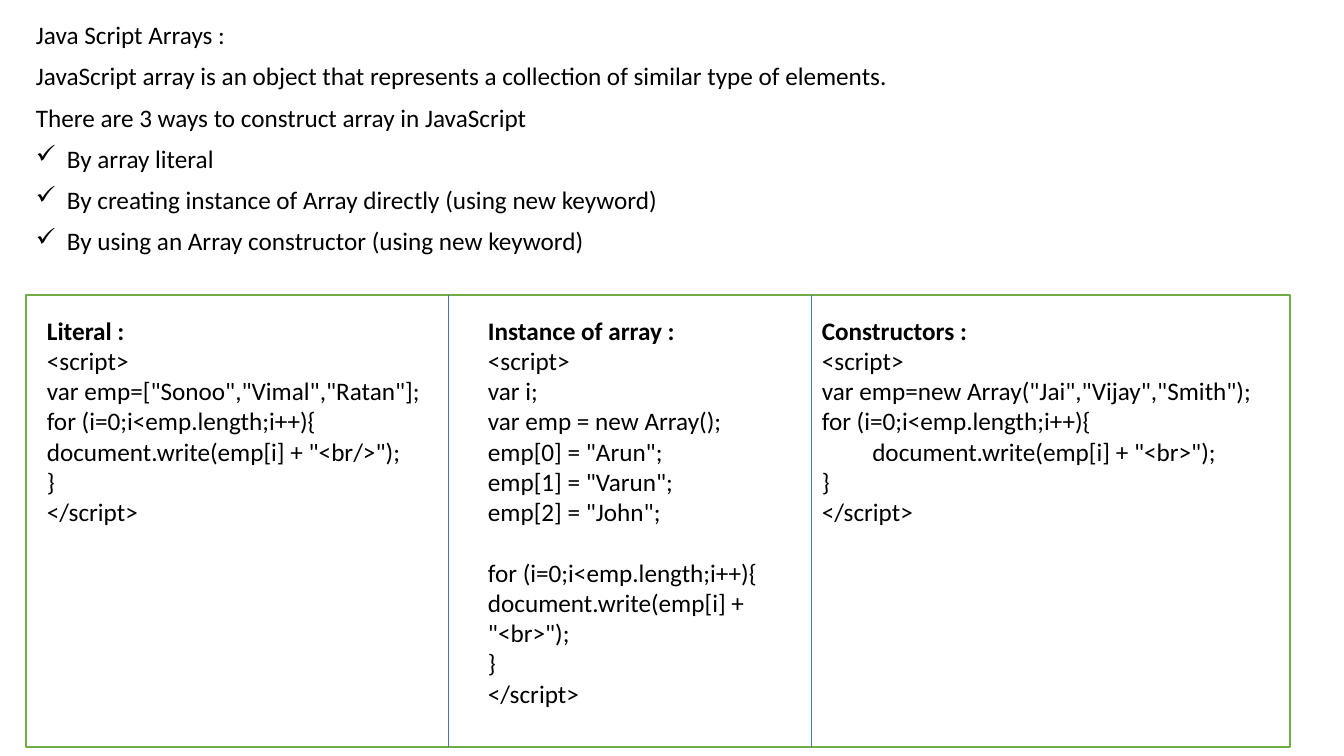
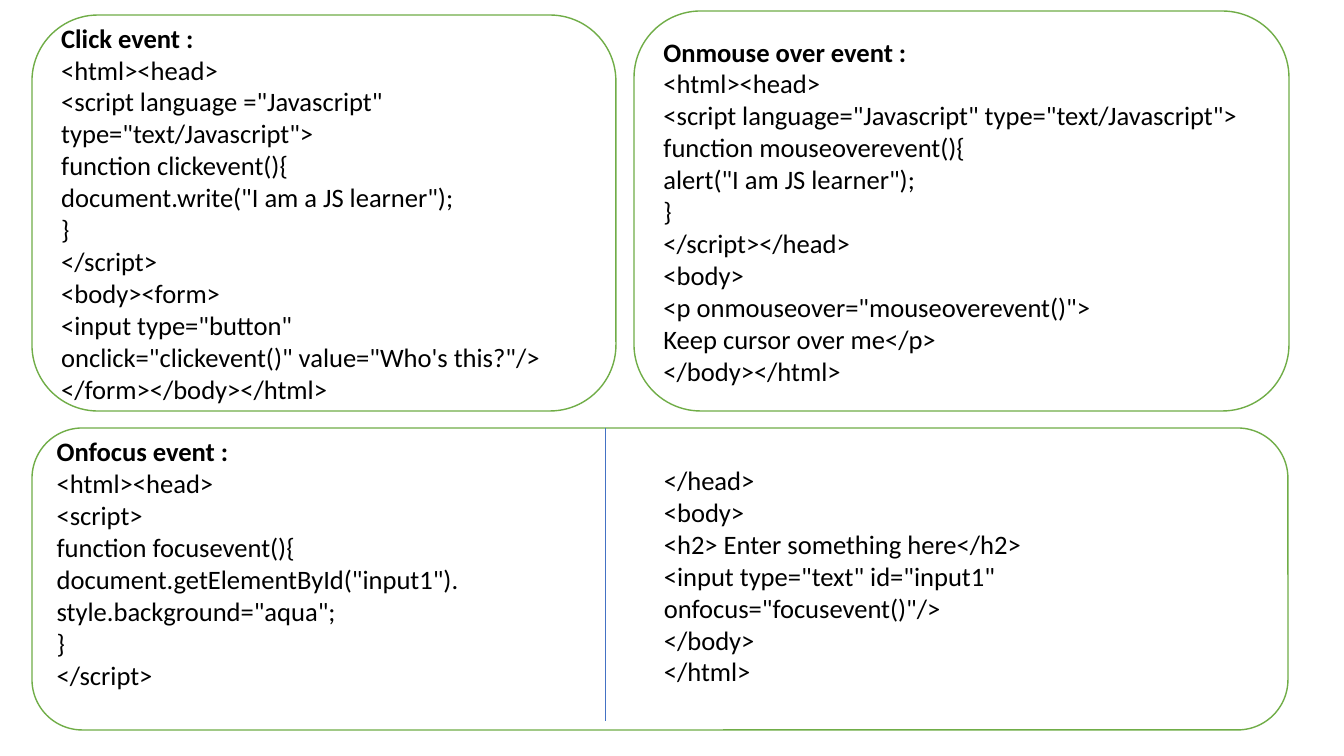
from dataclasses import dataclass

from lxml import etree
from pptx import Presentation
from pptx.dml.color import RGBColor
from pptx.enum.shapes import MSO_CONNECTOR, MSO_SHAPE
from pptx.enum.text import MSO_ANCHOR, MSO_AUTO_SIZE, PP_ALIGN
from pptx.oxml.ns import qn
from pptx.util import Emu, Pt

RECT = MSO_SHAPE.RECTANGLE
ROUNDED = MSO_SHAPE.ROUNDED_RECTANGLE
STRAIGHT = MSO_CONNECTOR.STRAIGHT
MIDDLE = MSO_ANCHOR.MIDDLE
GROW = MSO_AUTO_SIZE.SHAPE_TO_FIT_TEXT
LEFT = PP_ALIGN.LEFT

# Shared style
COLORS = {"text": "000000", "panel": "FFFFFF", "border": "70AD47", "divider": "4472C4"}
FONT = "Calibri"
ARRAY_SIZE, EVENT_SIZE = 18, 19
LINE_HEIGHT = 1.2
BULLET = "\u2713"
BULLET_INDENT = 31


def px(n: int) -> Emu:
    return Emu(round(n * 914400 / 100.8))


def color(name: str) -> RGBColor:
    return RGBColor.from_string(COLORS[name])


@dataclass
class Box:
    x: int
    y: int
    w: int
    h: int


@dataclass
class Listing:
    """Code under an optional bold heading; an empty line becomes a gap."""
    box: Box
    heading: str
    code: str
    bottom: int = 5


@dataclass
class Divider:
    x: int
    top: int
    bottom: int


# Drawing functions
def style(p, size: int, bold: bool = False) -> None:
    p.alignment = LEFT
    for r in p.runs:
        r.font.name = FONT
        r.font.size = Pt(size)
        r.font.bold = bold
        r.font.color.rgb = color("text")


def add_panel(slide, shape: int, box: Box):
    sp = slide.shapes.add_shape(shape, px(box.x), px(box.y), px(box.w), px(box.h))
    sp.shadow.inherit = False
    sp.fill.solid()
    sp.fill.fore_color.rgb = color("panel")
    sp.line.color.rgb = color("border")
    sp.line.width = Pt(1)
    return sp


def add_text_box(slide, box: Box):
    sp = slide.shapes.add_textbox(px(box.x), px(box.y), px(box.w), px(box.h))
    sp.text_frame.word_wrap = True
    return sp.text_frame


def add_divider(slide, d: Divider) -> None:
    line = slide.shapes.add_connector(STRAIGHT, px(d.x), px(d.top), px(d.x), px(d.bottom))
    line.line.color.rgb = color("divider")
    line.line.width = Pt(0.5)
    etree.SubElement(line._element.spPr, qn("a:effectLst"))


def write_listing(tf, listing: Listing, size: int) -> None:
    tf.margin_bottom = px(listing.bottom)
    p = tf.paragraphs[0]
    started = False
    if listing.heading:
        p.text = listing.heading
        style(p, size, bold=True)
        started = True
    gap = 0
    for line in listing.code.strip().split("\n"):
        if not line:
            gap += size * LINE_HEIGHT
            continue
        p = tf.add_paragraph() if started else p
        started = True
        p.text = line
        style(p, size)
        if gap:
            p.space_before = Pt(gap)
            gap = 0


def write_intro(tf, lines: list[str], points: list[str]) -> None:
    for i, line in enumerate(lines + points):
        p = tf.add_paragraph() if i else tf.paragraphs[0]
        p.text = line
        style(p, ARRAY_SIZE)
        p.line_spacing = 0.9
        p.space_before = Pt(10)
        if i >= len(lines):
            pPr = p._p.get_or_add_pPr()
            pPr.set("marL", str(px(BULLET_INDENT)))
            pPr.set("indent", str(-px(BULLET_INDENT)))
            etree.SubElement(pPr, qn("a:buChar")).set("char", BULLET)


# Slide 1: arrays
INTRO = Box(26, 18, 1300, 717)
INTRO_LINES = [
    "Java Script Arrays :",
    "JavaScript array is an object that represents a collection of similar type of elements.",
    "There are 3 ways to construct array in JavaScript",
]
INTRO_POINTS = [
    "By array literal",
    "By creating instance of Array directly (using new keyword)",
    "By using an Array constructor (using new keyword)",
]
ARRAY_PANEL = Box(26, 295, 1264, 452)
ARRAY_DIVIDERS = [Divider(x, 295, 747) for x in (448, 811)]
ARRAY_TOP = 310
ARRAY_LISTINGS = [
    Listing(Box(37, ARRAY_TOP, 407, 224), "Literal :", """
<script>
var emp=["Sonoo","Vimal","Ratan"];
for (i=0;i<emp.length;i++){
document.write(emp[i] + "<br/>");
}
</script>
"""),
    Listing(Box(478, ARRAY_TOP, 351, 407), "Instance of array :", """
<script>
var i;
var emp = new Array();
emp[0] = "Arun";
emp[1] = "Varun";
emp[2] = "John";

for (i=0;i<emp.length;i++){
document.write(emp[i] + "<br>");
}
</script>
"""),
    Listing(Box(812, ARRAY_TOP, 479, 224), "Constructors :", """
<script>
var emp=new Array("Jai","Vijay","Smith");
for (i=0;i<emp.length;i++){
\tdocument.write(emp[i] + "<br>");
}
</script>
"""),
]

# Slide 2: events
EVENT_PANELS = [
    Listing(Box(32, 15, 584, 396), "Click event :", """
<html><head>
<script language ="Javascript" type="text/Javascript">
function clickevent(){
document.write("I am a JS learner");
}
</script>
<body><form>
<input type="button"
onclick="clickevent()" value="Who's this?"/>
</form></body></html>
"""),
    Listing(Box(634, 11, 655, 400), "Onmouse over event :", """
<html><head>
<script language="Javascript" type="text/Javascript">
function mouseoverevent(){
alert("I am JS learner");
}
</script></head>
<body>
<p onmouseover="mouseoverevent()">
Keep cursor over me</p>
</body></html>
"""),
    Listing(Box(32, 428, 1256, 302), "Onfocus event :", """
<html><head>
<script>
function focusevent(){
document.getElementById("input1").
style.background="aqua";
}
</script>
""", bottom=37),
]
FOCUS_DIVIDER = Divider(605, 428, 721)
FOCUS_BODY = Listing(Box(654, 459, 484, 236), "", """
</head>
<body>
<h2> Enter something here</h2>
<input type="text" id="input1"
onfocus="focusevent()"/>
</body>
</html>
""")


def add_code_box(slide, listing: Listing, size: int) -> None:
    tf = add_text_box(slide, listing.box)
    tf.auto_size = GROW
    write_listing(tf, listing, size)


def build_arrays(slide) -> None:
    write_intro(add_text_box(slide, INTRO), INTRO_LINES, INTRO_POINTS)
    add_panel(slide, RECT, ARRAY_PANEL)
    for divider in ARRAY_DIVIDERS:
        add_divider(slide, divider)
    for listing in ARRAY_LISTINGS:
        add_code_box(slide, listing, ARRAY_SIZE)


def build_events(slide) -> None:
    for listing in EVENT_PANELS:
        tf = add_panel(slide, ROUNDED, listing.box).text_frame
        tf.word_wrap = True
        tf.vertical_anchor = MIDDLE
        write_listing(tf, listing, EVENT_SIZE)
    add_divider(slide, FOCUS_DIVIDER)
    add_code_box(slide, FOCUS_BODY, EVENT_SIZE)


prs = Presentation()
prs.slide_width, prs.slide_height = px(1344), px(756)
for build in (build_arrays, build_events):
    build(prs.slides.add_slide(prs.slide_layouts[6]))
prs.save("out.pptx")
